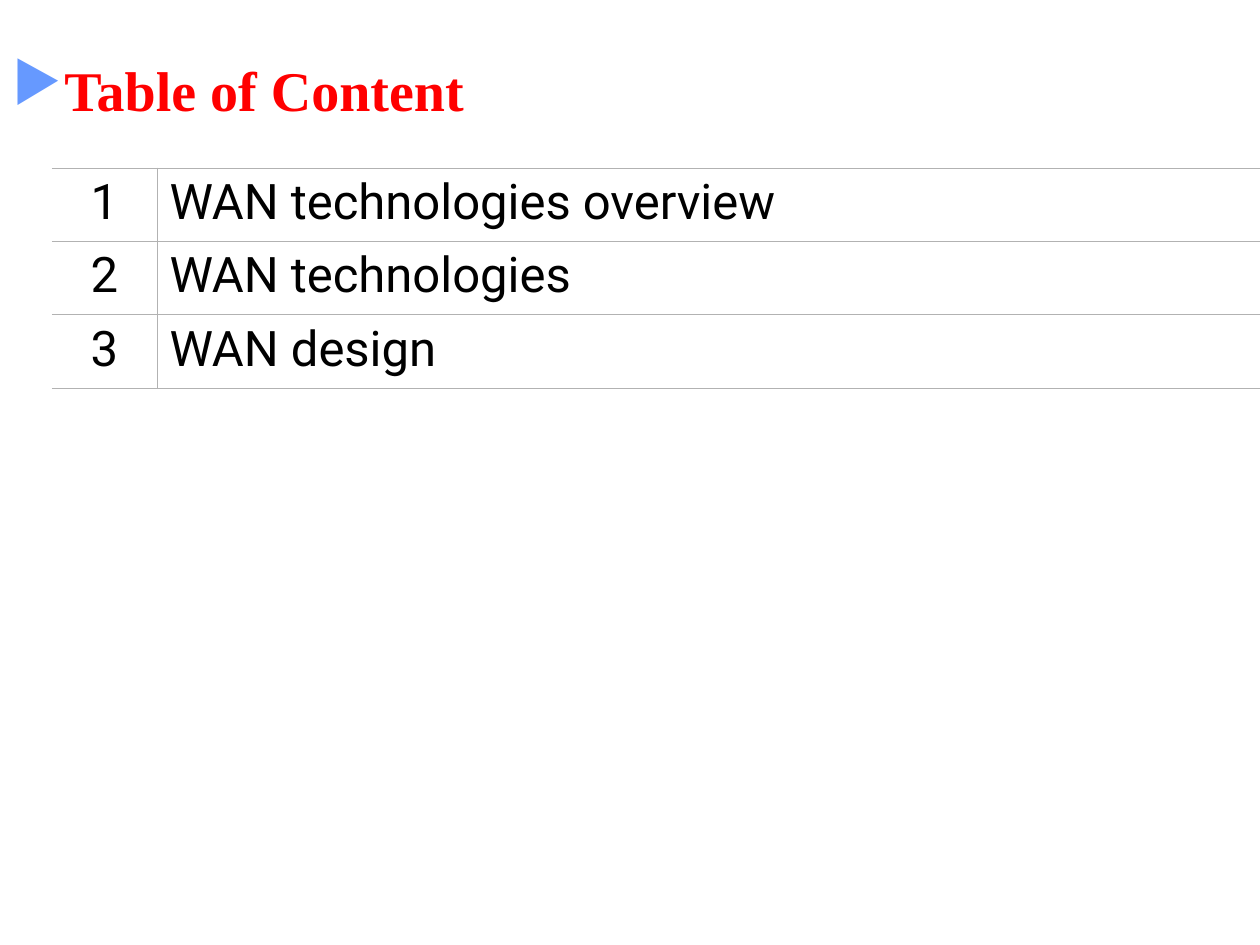
"""Build a table of contents slide for a WAN lesson."""
from lxml.etree import SubElement
from pptx import Presentation
from pptx.dml.color import RGBColor
from pptx.enum.text import MSO_ANCHOR, PP_ALIGN
from pptx.oxml.ns import qn
from pptx.util import Inches, Pt

SCALE = Inches(10) / 1260
RED = RGBColor(0xFF, 0x00, 0x00)
BLUE = RGBColor(0x66, 0x99, 0xFF)
GRAY = RGBColor(0xB2, 0xB2, 0xB2)
BLACK = RGBColor(0x00, 0x00, 0x00)
TOPICS = ["WAN technologies overview", "WAN technologies", "WAN design"]


def px(length):
    return round(length * SCALE)


def add_border(cell, side, color):
    properties = cell._tc.get_or_add_tcPr()
    line = SubElement(properties, qn(f"a:ln{side}"), w=str(Pt(0.45)))
    if color is None:
        SubElement(line, qn("a:noFill"))
    else:
        fill = SubElement(line, qn("a:solidFill"))
        SubElement(fill, qn("a:srgbClr"), val=str(color))


presentation = Presentation()
presentation.slide_width = px(1260)
presentation.slide_height = px(945)
slide = presentation.slides.add_slide(presentation.slide_layouts[6])

title = slide.shapes.add_textbox(0, px(42), px(1260), px(94))
title.text_frame.word_wrap = True
title.text_frame.vertical_anchor = MSO_ANCHOR.MIDDLE
paragraph = title.text_frame.paragraphs[0]
paragraph.text = "Table of Content"
paragraph_properties = paragraph._p.get_or_add_pPr()
bullet_color = SubElement(paragraph_properties, qn("a:buClr"))
SubElement(bullet_color, qn("a:srgbClr"), val=str(BLUE))
SubElement(paragraph_properties, qn("a:buChar"), char="▶")
paragraph.font.name = "Times New Roman"
paragraph.font.size = Pt(32)
paragraph.font.bold = True
paragraph.font.color.rgb = RED

table = slide.shapes.add_table(
    len(TOPICS), 2, px(52), px(168), px(1208), px(220)
).table
table.first_row = False
table.horz_banding = False
table.columns[0].width = px(105)
table.columns[1].width = px(1103)

for row, topic in enumerate(TOPICS):
    for column, text in enumerate([str(row + 1), topic]):
        cell = table.cell(row, column)
        add_border(cell, "L", GRAY if column else None)
        add_border(cell, "R", None if column else GRAY)
        add_border(cell, "T", GRAY)
        add_border(cell, "B", GRAY)
        cell.fill.background()
        paragraph = cell.text_frame.paragraphs[0]
        paragraph.text = text
        paragraph.alignment = PP_ALIGN.LEFT if column else PP_ALIGN.CENTER
        paragraph.font.name = "Roboto"
        paragraph.font.size = Pt(28)
        paragraph.font.color.rgb = BLACK

presentation.save("out.pptx")
